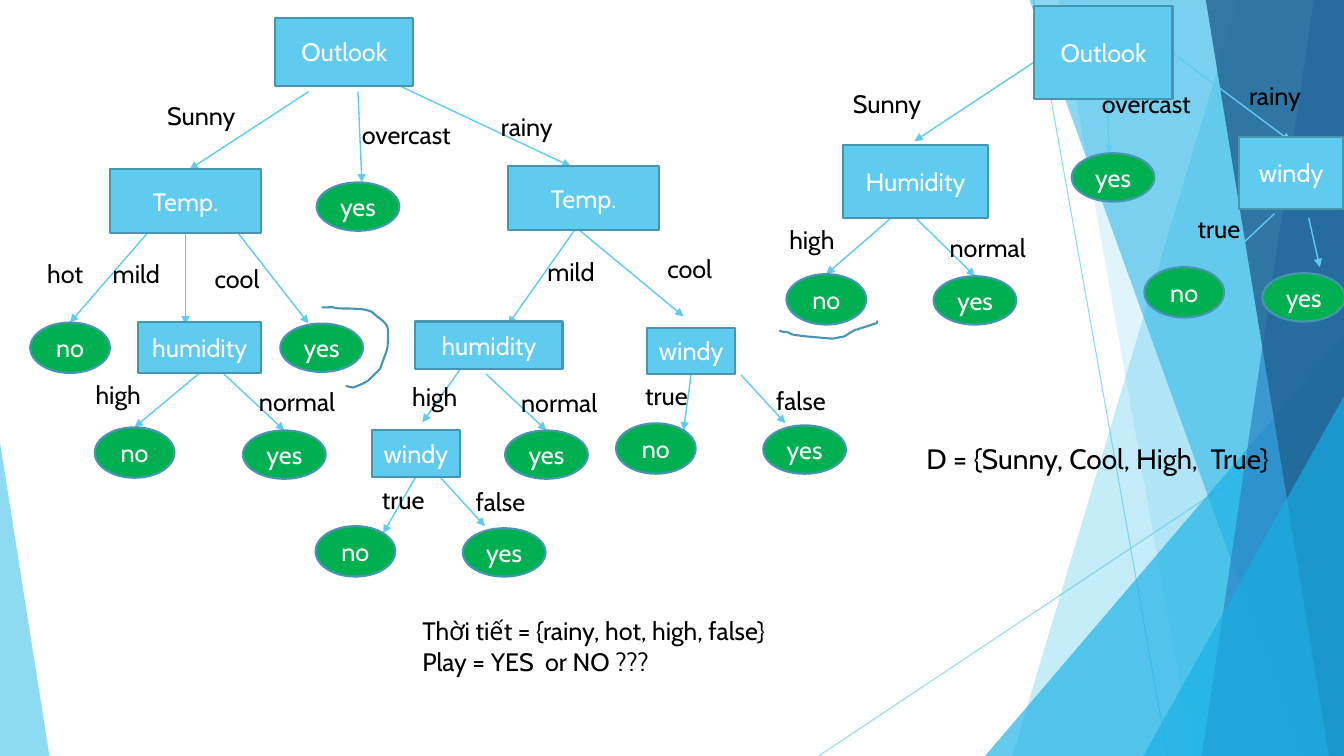
from lxml import etree
from pptx import Presentation
from pptx.dml.color import RGBColor
from pptx.enum import shapes, text
from pptx.oxml import ns
from pptx.util import Inches, Pt

FONT = "Cabin"
SKY, OUTLINE, GREEN = "5FCBEF", "4696B1", "00B050"
BRIGHT, BLUE, NAVY = "17B0E4", "2E83C3", "226292"
WHITE, BLACK = "FFFFFF", "000000"
WIDTH, HEIGHT = 13.33, 7.5
LEAF_SIZES = {"no": (0.79, 0.5), "yes": (0.82, 0.48)}

# Text, left, top, width, height
DECISIONS = [
    ("Outlook", 2.73, 0.18, 1.37, 0.67),
    ("Temp.", 1.09, 1.68, 1.5, 0.63),
    ("humidity", 1.37, 3.19, 1.22, 0.51),
    ("Temp.", 5.04, 1.65, 1.5, 0.63),
    ("humidity", 4.12, 3.19, 1.46, 0.47),
    ("windy", 3.69, 4.27, 0.87, 0.46),
    ("windy", 6.42, 3.25, 0.87, 0.46),
    ("Outlook", 10.26, 0.06, 1.37, 0.92),
    ("Humidity", 8.36, 1.44, 1.44, 0.72),
    ("windy", 12.29, 1.36, 1.03, 0.71),
]
# Text, left, top
LEAVES = [
    ("yes", 3.14, 1.81), ("no", 0.3, 3.2), ("yes", 2.78, 3.21),
    ("no", 0.94, 4.24), ("yes", 2.41, 4.27), ("yes", 5.01, 4.27),
    ("no", 3.13, 5.22), ("yes", 4.59, 5.24), ("no", 6.11, 4.2),
    ("yes", 7.57, 4.22), ("no", 7.8, 2.72), ("yes", 9.26, 2.74),
    ("no", 11.35, 2.65), ("yes", 12.52, 2.71), ("yes", 10.63, 1.52),
]
# Text, left, top, width
BRANCH_LABELS = [
    ("Sunny", 1.56, 0.95, 1.03), ("rainy", 4.87, 1.06, 1.03),
    ("overcast", 3.49, 1.13, 1.33), ("hot", 0.37, 2.51, 0.66),
    ("mild", 1.02, 2.51, 0.9), ("cool", 2.03, 2.56, 0.85),
    ("high", 0.85, 3.71, 0.9), ("normal", 2.47, 3.78, 1.02),
    ("mild", 5.33, 2.49, 0.81), ("cool", 6.52, 2.46, 0.74),
    ("high", 3.99, 3.73, 0.87), ("normal", 5.07, 3.79, 1.02),
    ("true", 3.69, 4.76, 0.74), ("false", 4.62, 4.78, 0.8),
    ("false", 7.6, 3.77, 0.8), ("true", 6.3, 3.72, 0.78),
    ("Sunny", 8.36, 0.83, 1.03), ("rainy", 12.29, 0.75, 1.03),
    ("overcast", 10.83, 0.83, 1.33), ("high", 7.73, 2.18, 0.87),
    ("normal", 9.32, 2.26, 1.02), ("true", 11.78, 2.07, 1.1),
]
# Start x, start y, end x, end y
BRANCHES = [
    (3.06, 0.91, 1.88, 1.68), (3.55, 0.91, 3.59, 1.81), (3.96, 0.85, 5.66, 1.65),
    (1.49, 2.28, 0.7, 3.21), (1.84, 2.31, 1.84, 3.22), (2.36, 2.31, 3.06, 3.21),
    (1.98, 3.69, 1.34, 4.24), (2.22, 3.71, 2.81, 4.27),
    (5.7, 2.28, 5.04, 3.22), (5.73, 2.27, 6.78, 3.14),
    (4.56, 3.67, 4.19, 4.19), (4.82, 3.71, 5.42, 4.27),
    (4.12, 4.73, 3.8, 5.29), (4.37, 4.74, 4.81, 5.22),
    (6.85, 3.71, 6.78, 4.27), (7.35, 3.72, 7.79, 4.2),
    (10.25, 0.62, 9.07, 1.4), (11.61, 0.51, 12.8, 1.4), (10.98, 0.75, 11, 1.52),
    (8.83, 2.17, 8.19, 2.72), (9.07, 2.18, 9.67, 2.74),
    (12.98, 2.16, 13.09, 2.65), (12.64, 2.12, 12.14, 2.59),
]
# Start point, then two control points and an end point for each curve
PEN_STROKES = [
    [(3.43, 3.83), (3.45, 3.83), (3.46, 3.84), (3.48, 3.84),
     (3.5, 3.85), (3.52, 3.84), (3.54, 3.83), (3.57, 3.82), (3.64, 3.79), (3.67, 3.76),
     (3.7, 3.73), (3.74, 3.69), (3.77, 3.66), (3.86, 3.4), (3.84, 3.52), (3.85, 3.31),
     (3.85, 3.28), (3.85, 3.25), (3.83, 3.22), (3.81, 3.19), (3.77, 3.16), (3.74, 3.14),
     (3.72, 3.12), (3.7, 3.1), (3.68, 3.09), (3.66, 3.08), (3.64, 3.08), (3.61, 3.07),
     (3.55, 3.06), (3.39, 3.06), (3.35, 3.06), (3.27, 3.04), (3.32, 3.05), (3.19, 3.05)],
    [(7.73, 3.28), (7.81, 3.31), (7.75, 3.28), (7.82, 3.3),
     (7.88, 3.32), (7.8, 3.31), (7.93, 3.33), (8.01, 3.34), (8.25, 3.36), (8.26, 3.36),
     (8.45, 3.32), (8.32, 3.36), (8.47, 3.28), (8.48, 3.27), (8.49, 3.27), (8.5, 3.27),
     (8.55, 3.25), (8.6, 3.24), (8.65, 3.22), (8.7, 3.2), (8.7, 3.22), (8.7, 3.18)],
]


def paint(target, color, alpha=100):
    """Give a fill or a line format a solid colour, alpha in percent."""
    fill = getattr(target, "fill", target)
    fill.solid()
    fill.fore_color.rgb = RGBColor.from_string(color)
    if alpha < 100:
        for tint in fill.fore_color._color._xClr, :
            etree.SubElement(tint, ns.qn("a:alpha")).set("val", str(alpha * 1000))


def write(box, lines, color, size=18, align=text.PP_ALIGN.LEFT):
    frame = box.text_frame
    frame.word_wrap = True
    frame.text = "\n".join(lines)
    for para in frame.paragraphs:
        para.alignment = align
        para.font.name, para.font.size = FONT, Pt(size)
        para.font.color.rgb = RGBColor.from_string(color)


def add_label(page, lines, left, top, width, height=0.4, size=18):
    box = page.shapes.add_textbox(*map(Inches, (left, top, width, height)))
    write(box, lines, BLACK, size)
    box.text_frame.auto_size = text.MSO_AUTO_SIZE.SHAPE_TO_FIT_TEXT


def add_node(page, kind, color, label, *bounds):
    node = page.shapes.add_shape(kind, *map(Inches, bounds))
    node.shadow.inherit = False
    paint(node.fill, color)
    paint(node.line, OUTLINE)
    node.line.width = Pt(1.5)
    write(node, [label], WHITE, align=text.PP_ALIGN.CENTER)
    node.text_frame.vertical_anchor = text.MSO_ANCHOR.MIDDLE
    return node


def add_line(page, ends, width, alpha=100):
    line = page.shapes.add_connector(shapes.MSO_CONNECTOR.STRAIGHT, *map(Inches, ends))
    paint(line.line, SKY, alpha)
    line.line.width = Pt(width)
    etree.SubElement(line.element.spPr, ns.qn("a:effectLst"))
    return line


def add_arrow(page, ends):
    arrow = add_line(page, ends, 1)
    head = etree.SubElement(arrow.line._get_or_add_ln(), ns.qn("a:tailEnd"))
    head.set("type", "triangle")
    return arrow


def join(arrow, nodes):
    """Attach an arrow to the nodes whose bottom or top middle it touches."""
    def touches(x, y, node, side_y):
        middle = node.left + node.width // 2
        return max(abs(x - middle), abs(y - side_y)) < Inches(0.03)

    for node in nodes:
        if touches(arrow.begin_x, arrow.begin_y, node, node.top + node.height):
            arrow.begin_connect(node, 2)
        if touches(arrow.end_x, arrow.end_y, node, node.top):
            arrow.end_connect(node, 0)


def add_outline(page, points, close):
    (x, y), *rest = [tuple(map(Inches, point)) for point in points]
    builder = page.shapes.build_freeform(x, y)
    builder.add_line_segments(rest, close=close)
    outline = builder.convert_to_shape()
    outline.shadow.inherit = False
    return outline


def add_pen_stroke(page, points, steps=6):
    curve = points[:1]
    for i in range(0, len(points) - 1, 3):
        for t in (step / steps for step in range(1, steps + 1)):
            weights = (1 - t) ** 3, 3 * t * (1 - t) ** 2, 3 * t * t * (1 - t), t ** 3
            curve.append(tuple(sum(w * p[axis] for w, p in zip(weights, points[i:i + 4]))
                               for axis in (0, 1)))
    stroke = add_outline(page, curve, close=False)
    stroke.fill.background()
    paint(stroke.line, OUTLINE)
    stroke.line.width = Pt(1.5)


def add_facet(page, top_x, bottom_x, color, alpha):
    """Fill from a slanted left edge to the right edge of the page."""
    corners = [(top_x, 0), (WIDTH, 0), (WIDTH, HEIGHT), (bottom_x, HEIGHT)]
    facet = add_outline(page, corners, close=True)
    paint(facet.fill, color, alpha)
    facet.line.fill.background()


def add_wedge(page, left, top, width, apex, color, alpha):
    bounds = map(Inches, (left, top, width, HEIGHT - top))
    wedge = page.shapes.add_shape(shapes.MSO_SHAPE.ISOSCELES_TRIANGLE, *bounds)
    wedge.adjustments[0] = apex
    wedge.shadow.inherit = False
    paint(wedge.fill, color, alpha)
    wedge.line.fill.background()


def decorate_layout(page):
    """Build the faceted backdrop and move it to the slide's layout."""
    add_line(page, (10.25, 0, 11.58, HEIGHT), 0.75, 70)
    add_line(page, (WIDTH, 4.03, 8.12, HEIGHT), 0.75, 70)
    add_facet(page, 12.28, 10.04, SKY, 36)
    add_facet(page, 10.5, 11.83, SKY, 20)
    add_wedge(page, 9.77, 3.33, 3.56, 1, BRIGHT, 66)
    add_facet(page, 10.21, 12.91, BRIGHT, 50)
    add_facet(page, 13.03, 11.92, BLUE, 70)
    add_facet(page, 11.96, 13.18, NAVY, 80)
    add_wedge(page, 11.34, 3.93, 1.99, 1, BRIGHT, 66)
    add_wedge(page, 0, 4.39, 0.49, 0, SKY, 70)
    for shape in list(page.shapes):
        page.slide_layout.shapes.element.append(shape.element)


def main():
    deck = Presentation()
    deck.slide_width, deck.slide_height = Inches(WIDTH), Inches(HEIGHT)
    page = deck.slides.add_slide(deck.slide_layouts[6])
    decorate_layout(page)
    arrows = [add_arrow(page, ends) for ends in BRANCHES]
    for label, *place in BRANCH_LABELS:
        add_label(page, [label], *place)
    nodes = [add_node(page, shapes.MSO_SHAPE.RECTANGLE, SKY, *row) for row in DECISIONS]
    nodes += [add_node(page, shapes.MSO_SHAPE.OVAL, GREEN, label, left, top, *LEAF_SIZES[label])
              for label, left, top in LEAVES]
    for arrow in arrows:
        join(arrow, nodes)
    add_label(page, ["Thời tiết = {rainy, hot, high, false}", "Play = YES  or NO ???"],
              4.09, 6.06, 6.67, 0.71)
    add_label(page, ["D = {Sunny, Cool, High,  True}"], 9.09, 4.33, 3.79, 0.44, 20)
    for points in PEN_STROKES:
        add_pen_stroke(page, points)
    deck.save("out.pptx")


if __name__ == "__main__":
    main()
